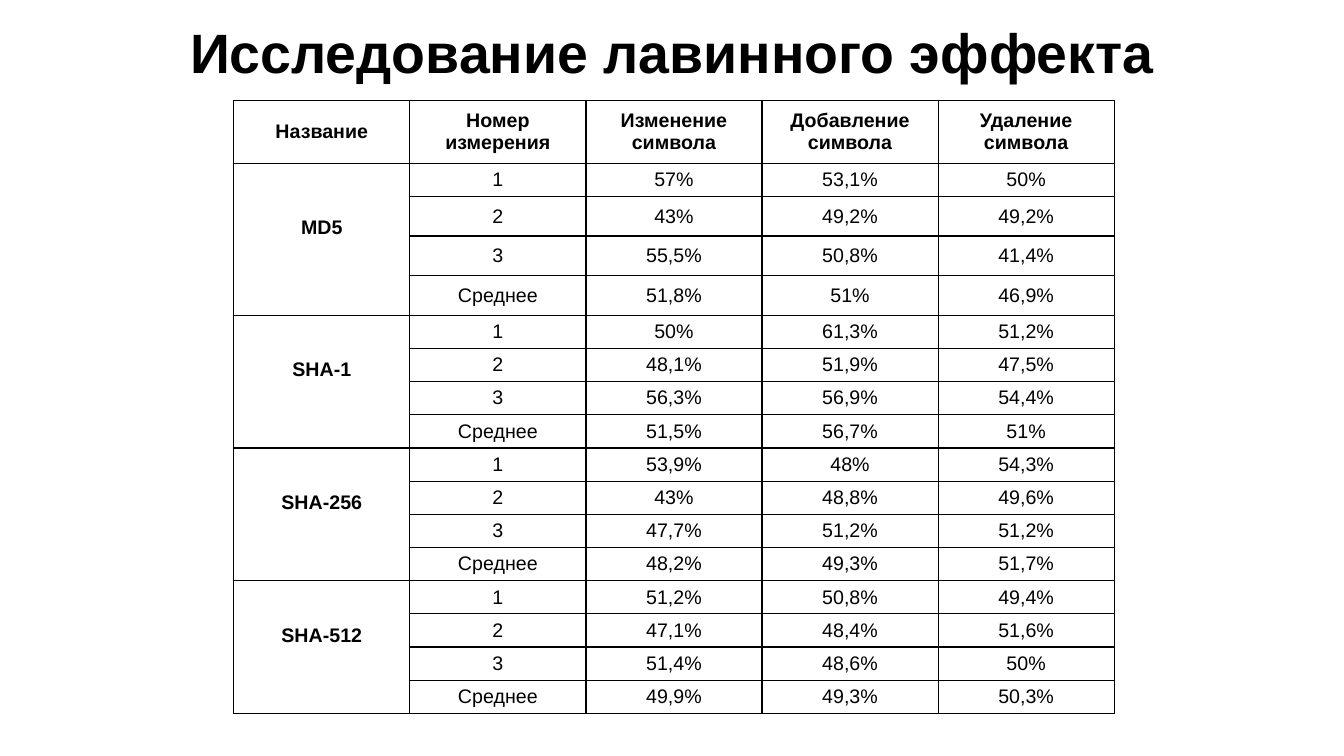
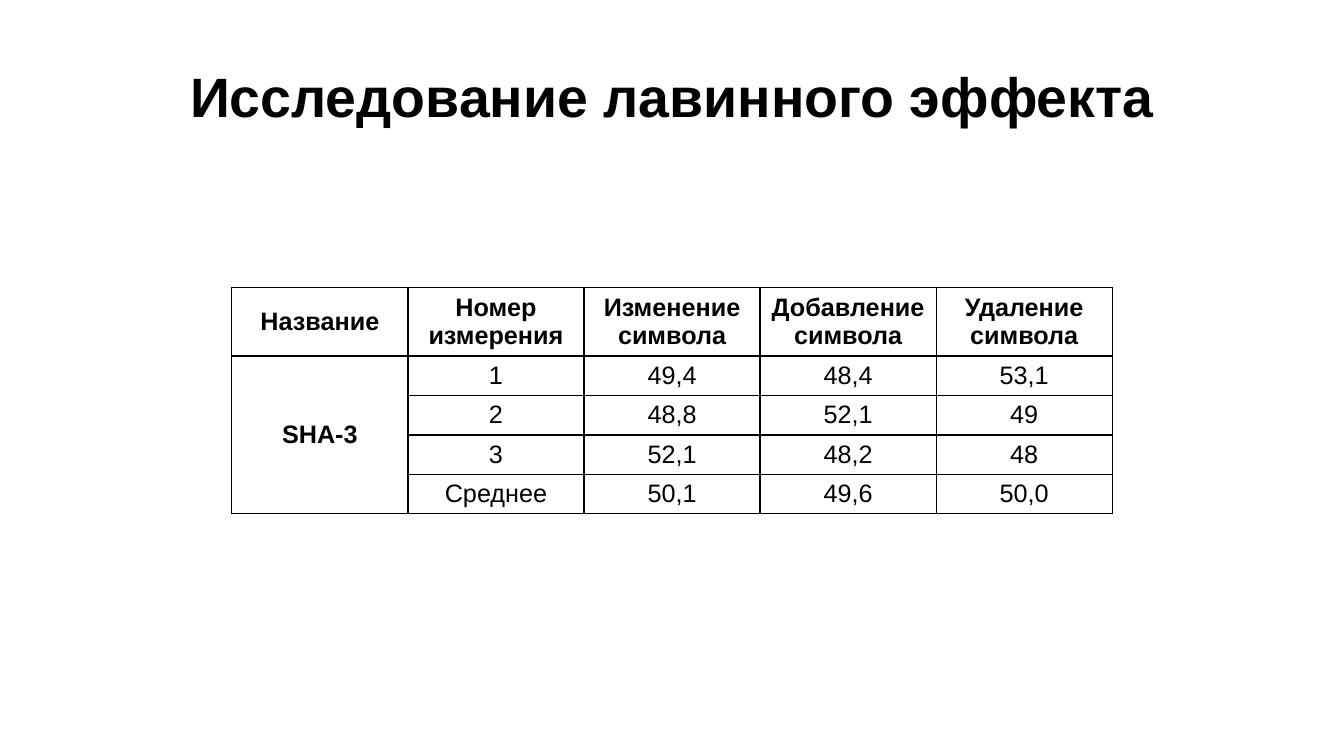
from lxml.etree import SubElement
from pptx import Presentation
from pptx.dml.color import RGBColor
from pptx.enum.text import MSO_ANCHOR, PP_ALIGN
from pptx.oxml.ns import qn
from pptx.util import Pt

BLACK = RGBColor(0x00, 0x00, 0x00)
FONT = "Arial"
TITLE = "Исследование лавинного эффекта"
HEADERS = ["Название", "Номер измерения", "Изменение символа", "Добавление символа", "Удаление символа"]
MEASURES = ["1", "2", "3", "Среднее"]
COL_W = 125.8

HASHES = {
    "MD5": [("57%", "53,1%", "50%"), ("43%", "49,2%", "49,2%"),
            ("55,5%", "50,8%", "41,4%"), ("51,8%", "51%", "46,9%")],
    "SHA-1": [("50%", "61,3%", "51,2%"), ("48,1%", "51,9%", "47,5%"),
              ("56,3%", "56,9%", "54,4%"), ("51,5%", "56,7%", "51%")],
    "SHA-256": [("53,9%", "48%", "54,3%"), ("43%", "48,8%", "49,6%"),
                ("47,7%", "51,2%", "51,2%"), ("48,2%", "49,3%", "51,7%")],
    "SHA-512": [("51,2%", "50,8%", "49,4%"), ("47,1%", "48,4%", "51,6%"),
                ("51,4%", "48,6%", "50%"), ("49,9%", "49,3%", "50,3%")],
}
SHA3 = {
    "SHA-3": [("49,4", "48,4", "53,1"), ("48,8", "52,1", "49"),
              ("52,1", "48,2", "48"), ("50,1", "49,6", "50,0")],
}

SLIDES = [
    dict(title_top=14.4, left=167, top=72, size=14, name_bottom=19.2, data=HASHES,
         heights=[44.6, 23.7] + [28.3] * 3 + [23.7] * 12),
    dict(title_top=45.4, left=165.6, top=205.5, size=18, name_bottom=3.6, data=SHA3,
         heights=[47.2] + [28.2] * 4),
]


def style_text(p, size, bold):
    p.alignment = PP_ALIGN.CENTER
    for r in p.runs:
        r.font.name = FONT
        r.font.size = Pt(size)
        r.font.bold = bold
        r.font.color.rgb = BLACK


def style_cell(cell, size, bold):
    cell.vertical_anchor = MSO_ANCHOR.MIDDLE
    cell.margin_top = cell.margin_bottom = Pt(2.8)
    tc_pr = cell._tc.get_or_add_tcPr()
    for side in ("a:lnL", "a:lnR", "a:lnT", "a:lnB"):
        ln = SubElement(tc_pr, qn(side), w=str(Pt(1)))
        fill = SubElement(ln, qn("a:solidFill"))
        SubElement(fill, qn("a:srgbClr"), val=str(BLACK))
    cell.fill.background()
    style_text(cell.text_frame.paragraphs[0], size, bold)


prs = Presentation()
prs.slide_width = Pt(960)
prs.slide_height = Pt(540)

for page in SLIDES:
    s = prs.slides.add_slide(prs.slide_layouts[6])

    tf = s.shapes.add_textbox(0, Pt(page["title_top"]), prs.slide_width, Pt(51)).text_frame
    tf.word_wrap = True
    tf.vertical_anchor = MSO_ANCHOR.MIDDLE
    tf.text = TITLE
    tf.paragraphs[0].line_spacing = 0.9
    style_text(tf.paragraphs[0], 39.6, True)

    rows = [HEADERS]
    for name, values in page["data"].items():
        for i, measure in enumerate(MEASURES):
            rows.append(["" if i else name, measure, *values[i]])

    heights = page["heights"]
    table = s.shapes.add_table(len(rows), len(HEADERS), Pt(page["left"]), Pt(page["top"]),
                               Pt(COL_W * len(HEADERS)), Pt(sum(heights))).table
    table.first_row = False
    table.horz_banding = False
    for col in table.columns:
        col.width = Pt(COL_W)
    for row, height in zip(table.rows, heights):
        row.height = Pt(height)

    for i, row in enumerate(rows):
        for j, text in enumerate(row):
            cell = table.cell(i, j)
            cell.text_frame.text = text
            style_cell(cell, page["size"], i == 0 or j == 0)

    for i in range(1, len(rows), len(MEASURES)):
        name_cell = table.cell(i, 0)
        name_cell.merge(table.cell(i + len(MEASURES) - 1, 0))
        name_cell.margin_bottom = Pt(page["name_bottom"])

prs.save("out.pptx")
